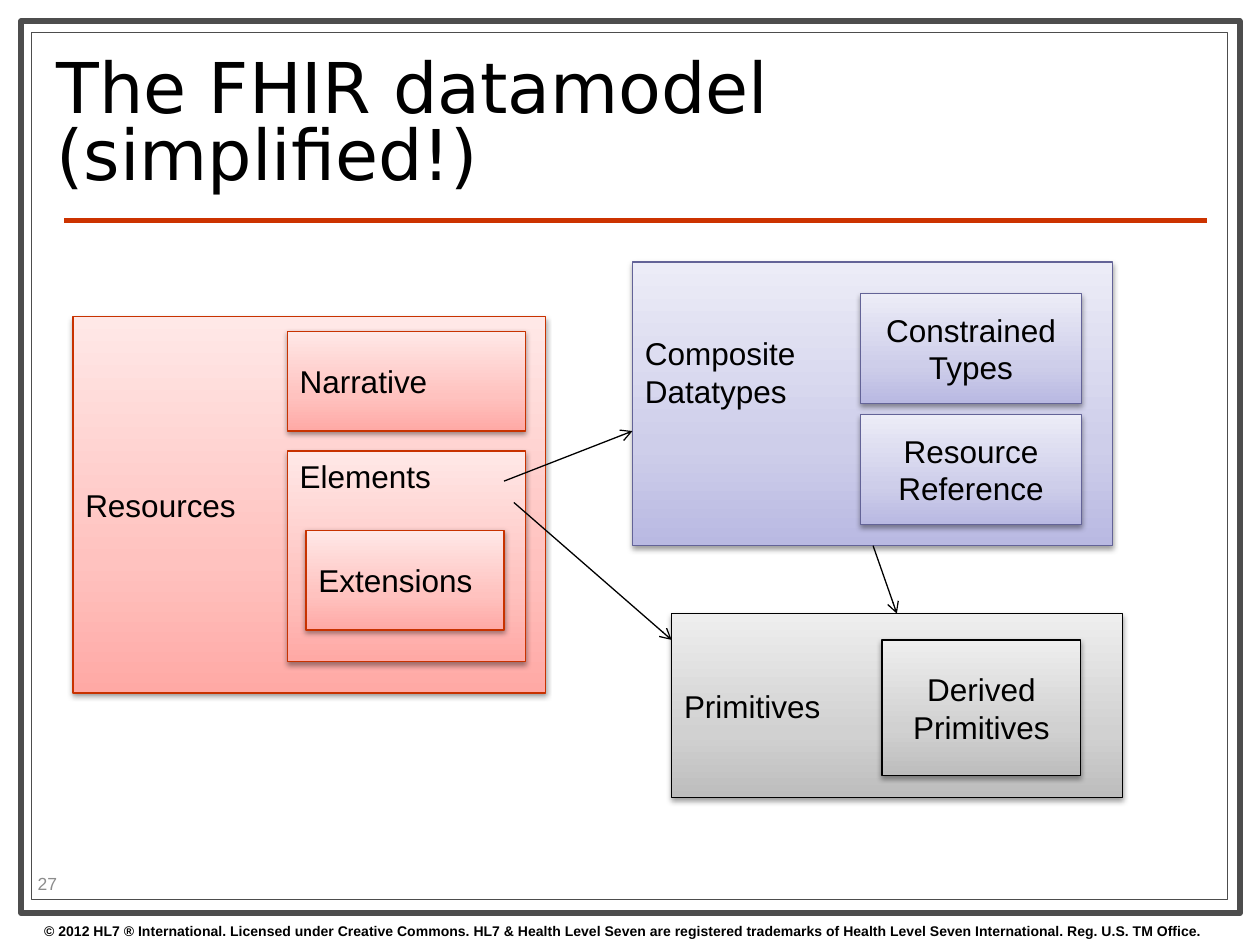
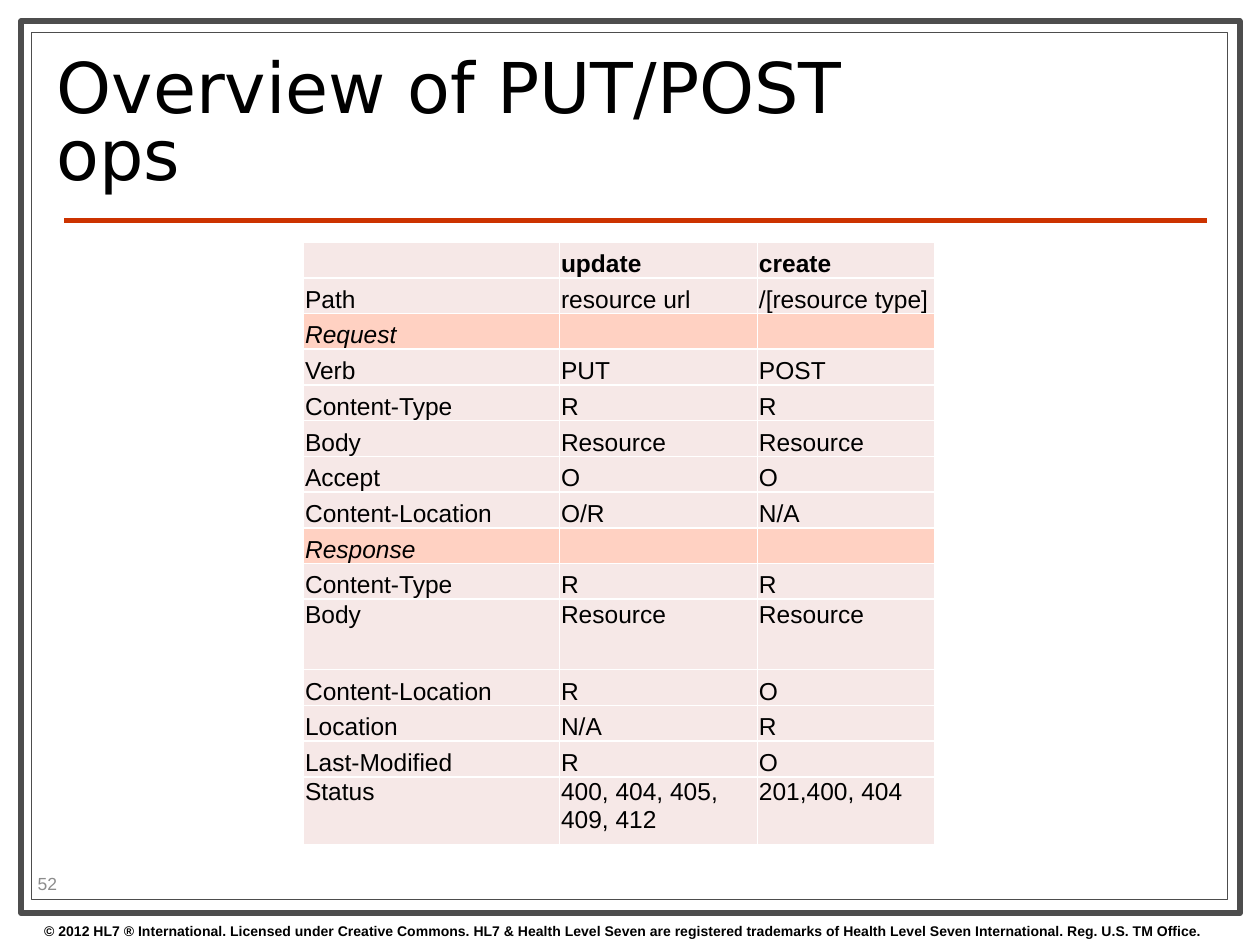
from dataclasses import dataclass

from lxml import etree
from pptx import Presentation
from pptx.dml.color import RGBColor
from pptx.enum import shapes, text
from pptx.oxml import parse_xml
from pptx.oxml.ns import nsdecls, qn
from pptx.util import Cm, Pt

# Shared look
SANS, HEAD = "Arial", "DejaVu Sans"
INK, PAPER, FRAME, RULE, GREY = "000000", "FFFFFF", "4D4D4D", "CC3300", "8C8C8C"
LEFT, MID = text.PP_ALIGN.LEFT, text.PP_ALIGN.CENTER
TOP, CORE, LOW = (text.MSO_ANCHOR.TOP, text.MSO_ANCHOR.MIDDLE,
                  text.MSO_ANCHOR.BOTTOM)
LEGAL = ("© 2012 HL7 ® International. Licensed under Creative Commons. "
         "HL7 & Health Level Seven are registered trademarks of "
         "Health Level Seven International. Reg. U.S. TM Office.")


@dataclass(frozen=True)
class Tone:
    line: str
    dark: str
    soft: str
    pale: str


@dataclass(frozen=True)
class Box:
    label: str
    tone: Tone
    x: float
    y: float
    w: float
    h: float
    align: int = LEFT
    anchor: int = CORE
    foot: float = 0.13


@dataclass(frozen=True)
class Arrow:
    x1: float
    y1: float
    x2: float
    y2: float


RED = Tone("C83200", "FFA9A5", "FFC2BF", "FFE8E7")
BLUE = Tone("636397", "B9B9E2", "CECEEA", "ECECF7")
ASH = Tone("000000", "BDBDBD", "D1D1D1", "EEEEEE")

# Data model: outer boxes come before the ones inside them
BOXES = [
    Box("Resources", RED, 1.47, 6.38, 9.53, 7.59),
    Box("Narrative", RED, 5.79, 6.68, 4.8, 2.01),
    Box("Elements", RED, 5.79, 9.09, 4.8, 4.24, anchor=TOP),
    Box("Extensions", RED, 6.17, 10.69, 3.99, 2.01),
    Box("Primitives", ASH, 13.54, 12.37, 9.09, 3.71),
    Box("Derived Primitives", ASH, 17.78, 12.9, 4.01, 2.74, MID),
    Box("Composite\nDatatypes", BLUE, 12.75, 5.28, 9.68, 5.72, foot=1.4),
    Box("Constrained Types", BLUE, 17.35, 5.92, 4.45, 2.21, MID),
    Box("Resource\nReference", BLUE, 17.35, 8.36, 4.45, 2.21, MID),
]
ARROWS = [
    Arrow(17.6, 11, 18.08, 12.37),
    Arrow(10.16, 9.7, 12.75, 8.69),
    Arrow(10.36, 10.13, 13.54, 12.9),
]

# Operations table
COLS = [5.16, 3.99, 3.58]
ROWS = [
    ("", "update", "create"),
    ("Path", "resource url", "/[resource type]"),
    ("Request", "", ""),
    ("Verb", "PUT", "POST"),
    ("Content-Type", "R", "R"),
    ("Body", "Resource", "Resource"),
    ("Accept", "O", "O"),
    ("Content-Location", "O/R", "N/A"),
    ("Response", "", ""),
    ("Content-Type", "R", "R"),
    ("Body", "Resource", "Resource"),
    ("Content-Location", "R", "O"),
    ("Location", "N/A", "R"),
    ("Last-Modified", "R", "O"),
    ("Status", "400, 404, 405,\v409, 412", "201,400, 404"),
]
STEP = 0.72
TALL = {10: 1.42, 14: 1.37}  # taller rows, set from the top


def rgb(code: str) -> RGBColor:
    return RGBColor.from_string(code)


def style(frame, size: float, color: str = INK, face: str = SANS,
          bold: bool = False, italic: bool = False, align: int = LEFT) -> None:
    for para in frame.paragraphs:
        para.alignment = align
        for run in para.runs:
            font = run.font
            font.name, font.size = face, Pt(size)
            font.bold, font.italic = bold, italic
            font.color.rgb = rgb(color)


def stroke(line, color: str, width: float) -> None:
    line.color.rgb = rgb(color)
    line.width = Pt(width)


def add_rect(slide, x: float, y: float, w: float, h: float):
    return slide.shapes.add_shape(shapes.MSO_SHAPE.RECTANGLE,
                                  Cm(x), Cm(y), Cm(w), Cm(h))


def add_line(slide, way: Arrow, color: str, width: float):
    line = slide.shapes.add_connector(
        shapes.MSO_CONNECTOR.STRAIGHT,
        Cm(way.x1), Cm(way.y1), Cm(way.x2), Cm(way.y2))
    stroke(line.line, color, width)
    etree.SubElement(line._element.spPr, qn("a:effectLst"))
    return line


def add_note(slide, words: str, x: float, y: float, w: float, h: float):
    note = slide.shapes.add_textbox(Cm(x), Cm(y), Cm(w), Cm(h))
    note.text_frame.word_wrap = True
    note.text_frame.text = words
    return note.text_frame


def add_page(deck, title: str, number: int):
    slide = deck.slides.add_slide(deck.slide_layouts[5])
    # Double frame, rule and footer
    for x, y, w, h, width in ((0.43, 0.43, 24.56, 17.98, 3.5),
                              (0.64, 0.66, 24.1, 17.48, 0.75)):
        rect = add_rect(slide, x, y, w, h)
        rect.shadow.inherit = False
        rect.fill.solid()
        rect.fill.fore_color.rgb = rgb(PAPER)
        stroke(rect.line, FRAME, width)
    add_line(slide, Arrow(1.3, 4.45, 24.33, 4.45), RULE, 3)
    style(add_note(slide, LEGAL, 0.64, 18.47, 25.4, 0.58), 8, bold=True)
    page = add_note(slide, str(number), 0.51, 17.5, 2.01, 0.61)
    page.vertical_anchor = CORE
    style(page, 10, GREY)
    # Title, lifted above the frame
    head = slide.shapes.title
    head.left, head.top, head.width, head.height = (
        Cm(0.89), Cm(0.91), Cm(18.21), Cm(3.28))
    frame = head.text_frame
    frame.text = title
    frame.word_wrap = True
    frame.auto_size = text.MSO_AUTO_SIZE.NONE
    frame.vertical_anchor = CORE
    frame.paragraphs[0].line_spacing = 0.8
    style(frame, 40, face=HEAD)
    head._element.getparent().append(head._element)
    return slide


def add_box(slide, box: Box) -> None:
    rect = add_rect(slide, box.x, box.y, box.w, box.h)
    stroke(rect.line, box.tone.line, 0.75)
    # Three-stop gradient, dark at the bottom
    rect.fill.gradient()
    rect.fill.gradient_angle = 90
    props = rect._element.spPr
    stops = props.find(".//" + qn("a:gsLst"))
    for stop in list(stops):
        stops.remove(stop)
    for pos, color in ((0, box.tone.dark), (35, box.tone.soft),
                       (100, box.tone.pale)):
        stop = etree.SubElement(stops, qn("a:gs"), pos=str(pos * 1000))
        etree.SubElement(stop, qn("a:srgbClr"), val=color)
    # Soft shadow below
    props.append(parse_xml(
        f'<a:effectLst {nsdecls("a")}><a:outerShdw blurRad="40000" '
        'dist="20000" dir="5400000" rotWithShape="0">'
        f'<a:srgbClr val="{INK}"><a:alpha val="38000"/></a:srgbClr>'
        '</a:outerShdw></a:effectLst>'))
    frame = rect.text_frame
    frame.text = box.label
    frame.word_wrap = True
    frame.vertical_anchor = box.anchor
    frame.margin_bottom = Cm(box.foot)
    style(frame, 18, align=box.align)


def add_arrow(slide, way: Arrow) -> None:
    line = add_line(slide, way, INK, 0.75)
    etree.SubElement(line._element.spPr.find(qn("a:ln")),
                     qn("a:tailEnd"), type="arrow")


def edge(cell) -> None:
    props = cell._tc.get_or_add_tcPr()
    for spot, side in enumerate(("lnL", "lnR", "lnT", "lnB")):
        props.insert(spot, parse_xml(
            f'<a:{side} {nsdecls("a")} w="12700"><a:solidFill>'
            f'<a:srgbClr val="{PAPER}"/></a:solidFill></a:{side}>'))


def add_grid(slide) -> None:
    heights = [TALL.get(i, STEP) for i in range(len(ROWS))]
    grid = slide.shapes.add_table(
        len(ROWS), len(COLS), Cm(6.12), Cm(4.88),
        Cm(sum(COLS)), Cm(sum(heights))).table
    grid.first_row = grid.horz_banding = False
    for col, width in zip(grid.columns, COLS):
        col.width = Cm(width)
    for i, (row, words) in enumerate(zip(grid.rows, ROWS)):
        row.height = Cm(heights[i])
        group = not any(words[1:])
        for cell, word in zip(row.cells, words):
            cell.text = word
            cell.margin_left = cell.margin_right = cell.margin_top = Cm(0.03)
            cell.margin_bottom = 0
            cell.vertical_anchor = TOP if i in TALL else LOW
            cell.fill.solid()
            cell.fill.fore_color.rgb = rgb("FFD1C2" if group else "F6E8E7")
            edge(cell)
            style(cell.text_frame, 14, bold=i == 0, italic=group)
            if not word:  # keeps empty cells from stretching the row
                para = cell.text_frame.paragraphs[0]._p
                para.get_or_add_endParaRPr().set("sz", "1400")


def main() -> None:
    deck = Presentation()
    deck.slide_width, deck.slide_height = Cm(25.4), Cm(19.05)

    model = add_page(deck, "The FHIR datamodel (simplified!)", 27)
    for box in BOXES:
        add_box(model, box)
    for way in ARROWS:
        add_arrow(model, way)

    add_grid(add_page(deck, "Overview of PUT/POST ops", 52))
    deck.save("out.pptx")


if __name__ == "__main__":
    main()
